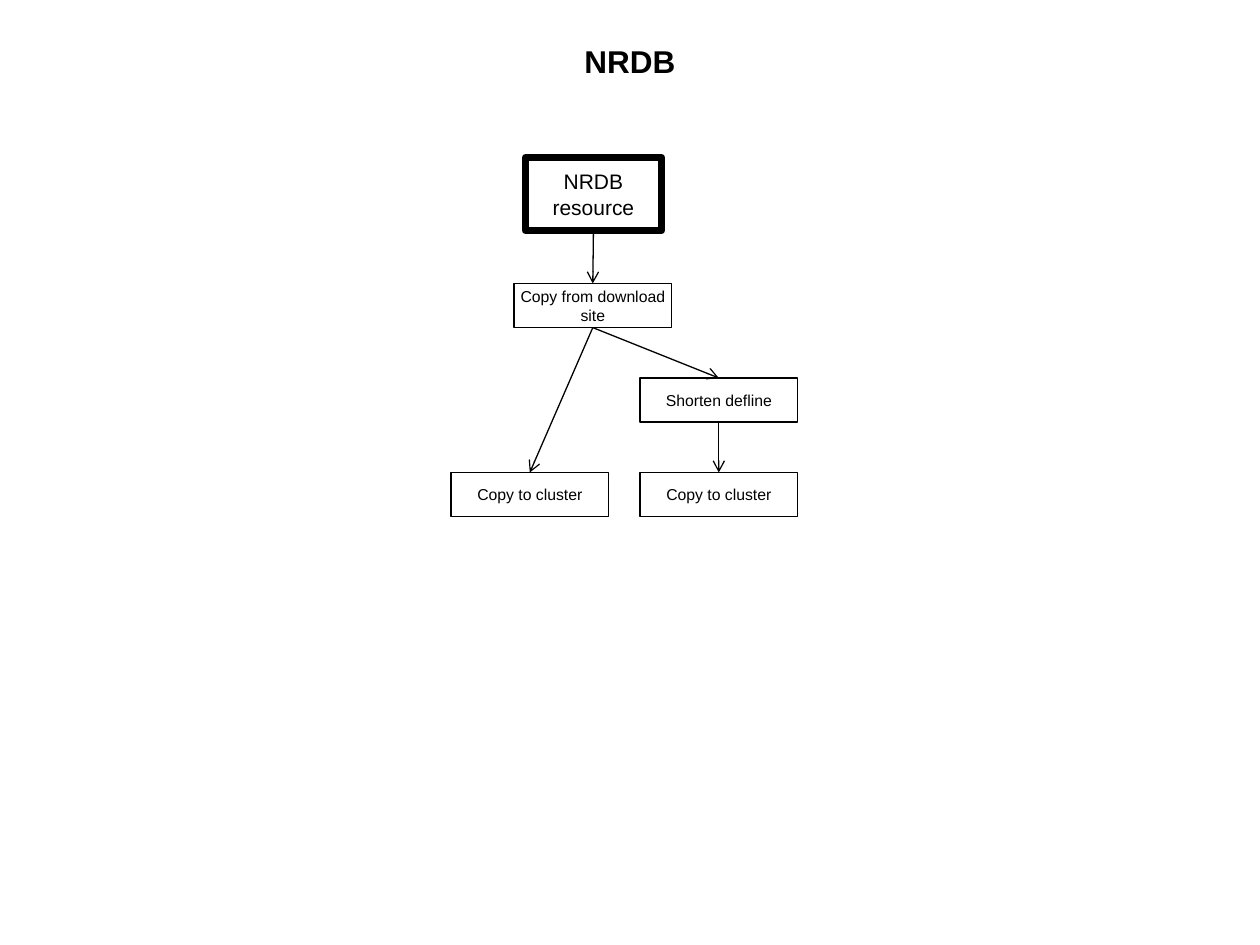
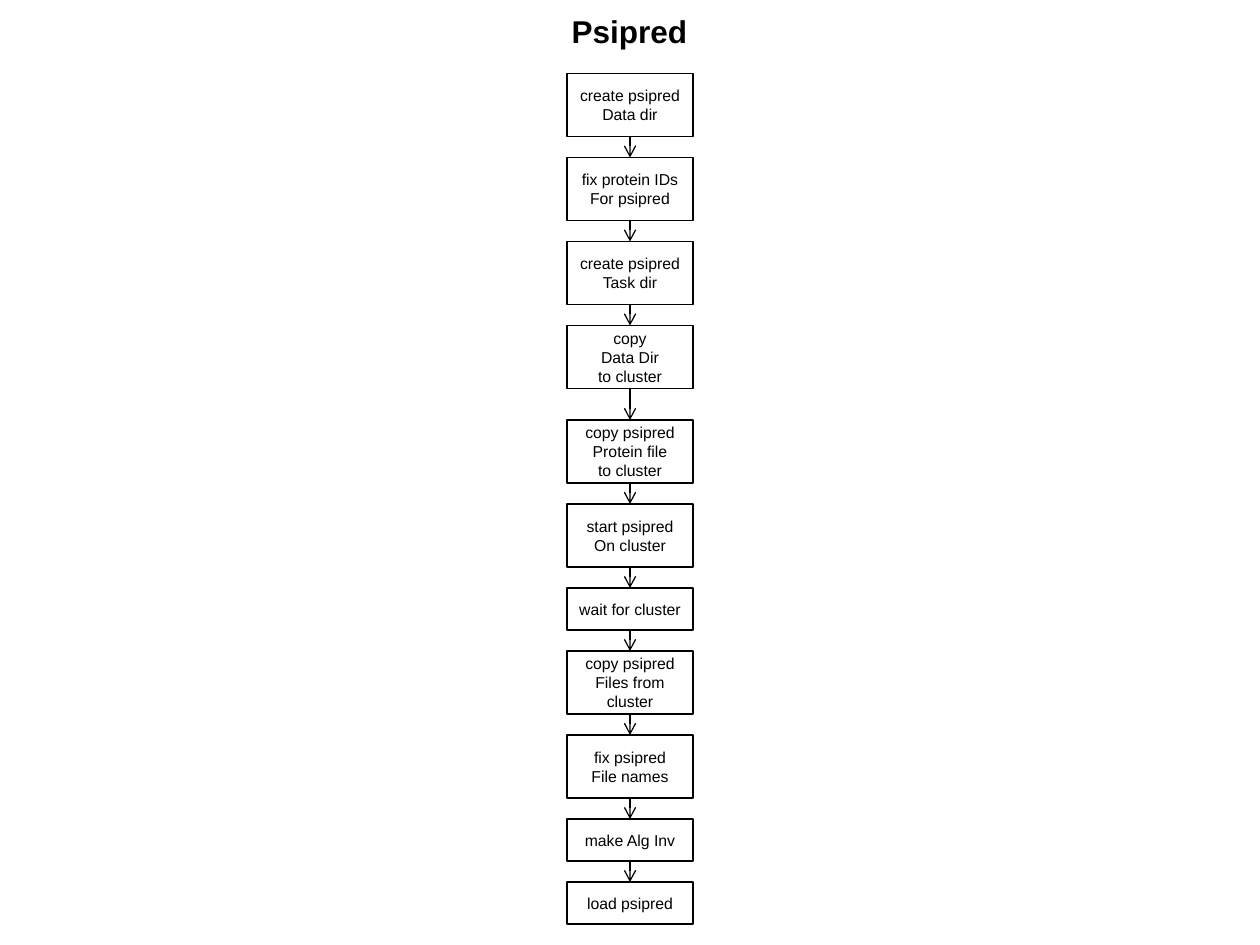
from lxml.etree import SubElement
from pptx import Presentation
from pptx.dml.color import RGBColor
from pptx.enum.shapes import MSO_CONNECTOR, MSO_SHAPE
from pptx.enum.text import MSO_ANCHOR, PP_ALIGN
from pptx.oxml.ns import qn
from pptx.util import Inches, Pt

BLACK = RGBColor(0, 0, 0)
FONT = "Arial"
BLANK_LAYOUT = 6
TOP, BOTTOM = 0, 2


def add_text(slide, text, left, top, width, height, size=9, bold=False, border=None):
    """Add centred text; a border width in points puts it in a rectangle."""
    place = [Inches(value) for value in (left, top, width, height)]
    if border is None:
        box = slide.shapes.add_textbox(*place)
    else:
        box = slide.shapes.add_shape(MSO_SHAPE.RECTANGLE, *place)
        box.shadow.inherit = False
        box.fill.background()
        box.line.color.rgb = BLACK
        box.line.width = Pt(border)
    frame = box.text_frame
    frame.word_wrap = border is None
    frame.vertical_anchor = MSO_ANCHOR.MIDDLE
    frame.margin_top = frame.margin_bottom = Inches(0 if border is None else 0.05)
    frame.text = text
    for paragraph in frame.paragraphs:
        paragraph.alignment = PP_ALIGN.CENTER
        paragraph.font.name = FONT
        paragraph.font.size = Pt(size)
        paragraph.font.bold = bold
        paragraph.font.color.rgb = BLACK
    return box


def add_arrow(slide, source, target):
    """Join the bottom of one step to the top of the next."""
    arrow = slide.shapes.add_connector(MSO_CONNECTOR.STRAIGHT, 0, 0, 0, 0)
    arrow.begin_connect(source, BOTTOM)
    arrow.end_connect(target, TOP)
    arrow.line.color.rgb = BLACK
    arrow.line.width = Pt(0.75)
    SubElement(arrow.line._get_or_add_ln(), qn("a:tailEnd"), type="arrow")
    SubElement(arrow._element.spPr, qn("a:effectLst"))


presentation = Presentation()
presentation.slide_width = Inches(10)
presentation.slide_height = Inches(7.5)
blank = presentation.slide_layouts[BLANK_LAYOUT]

# NRDB: one resource, two routes to the cluster
nrdb = presentation.slides.add_slide(blank)
add_text(nrdb, "NRDB", 0.5, 0.3, 9, 0.37, size=18, bold=True)
resource = add_text(nrdb, "NRDB\nresource", 4.17, 1.25, 1.08, 0.58, size=12, border=4)
download, shorten, copy_short, copy_full = [
    add_text(nrdb, label, left, top, 1.25, 0.35, border=1)
    for label, left, top in [
        ("Copy from download\nsite", 4.08, 2.25),
        ("Shorten defline", 5.08, 3),
        ("Copy to cluster", 5.08, 3.75),
        ("Copy to cluster", 3.58, 3.75),
    ]
]
for source, target in [
    (resource, download),
    (download, shorten),
    (shorten, copy_short),
    (download, copy_full),
]:
    add_arrow(nrdb, source, target)

# Psipred: a single chain of steps
psipred = presentation.slides.add_slide(blank)
add_text(psipred, "Psipred", 4.08, 0.08, 1.83, 0.33, size=18, bold=True)
STEP_GAP = 1 / 6
WIDE_GAP = 1 / 4
STEPS = [
    "create psipred\nData dir",
    "fix protein IDs\nFor psipred",
    "create psipred\nTask dir",
    "copy\nData Dir\nto cluster",
    "copy psipred\nProtein file\nto cluster",
    "start psipred\nOn cluster",
    "wait for cluster",
    "copy psipred\nFiles from\ncluster",
    "fix psipred\nFile names",
    "make Alg Inv",
    "load psipred",
]
COPY_DATA_STEP = 3

top = 7 / 12
previous = None
for index, label in enumerate(STEPS):
    height = 1 / 2 if "\n" in label else 1 / 3
    step = add_text(psipred, label, 4.5, top, 1, height, border=0.75)
    if previous is not None:
        add_arrow(psipred, previous, step)
    previous = step
    top += height + (WIDE_GAP if index == COPY_DATA_STEP else STEP_GAP)

presentation.save("out.pptx")
